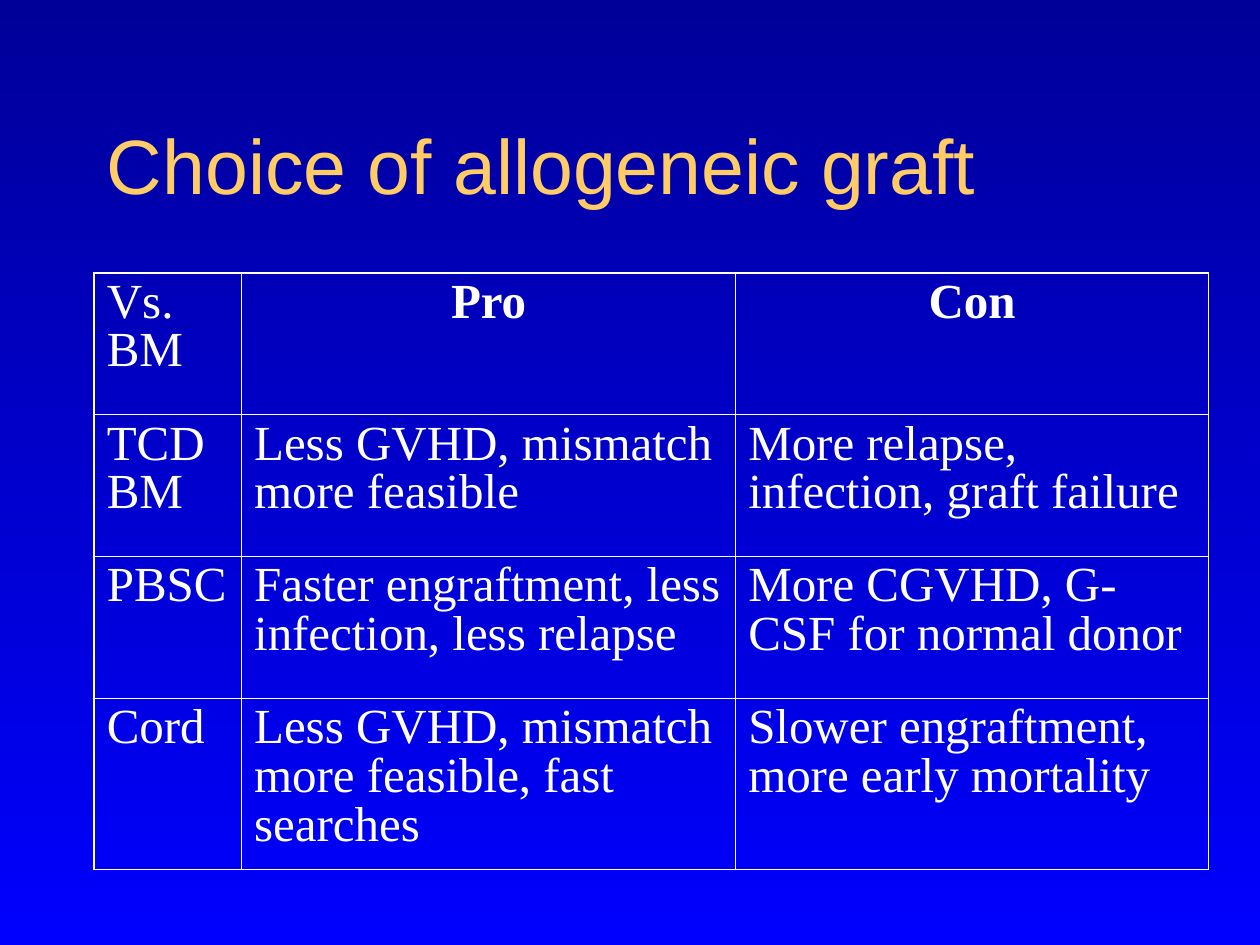
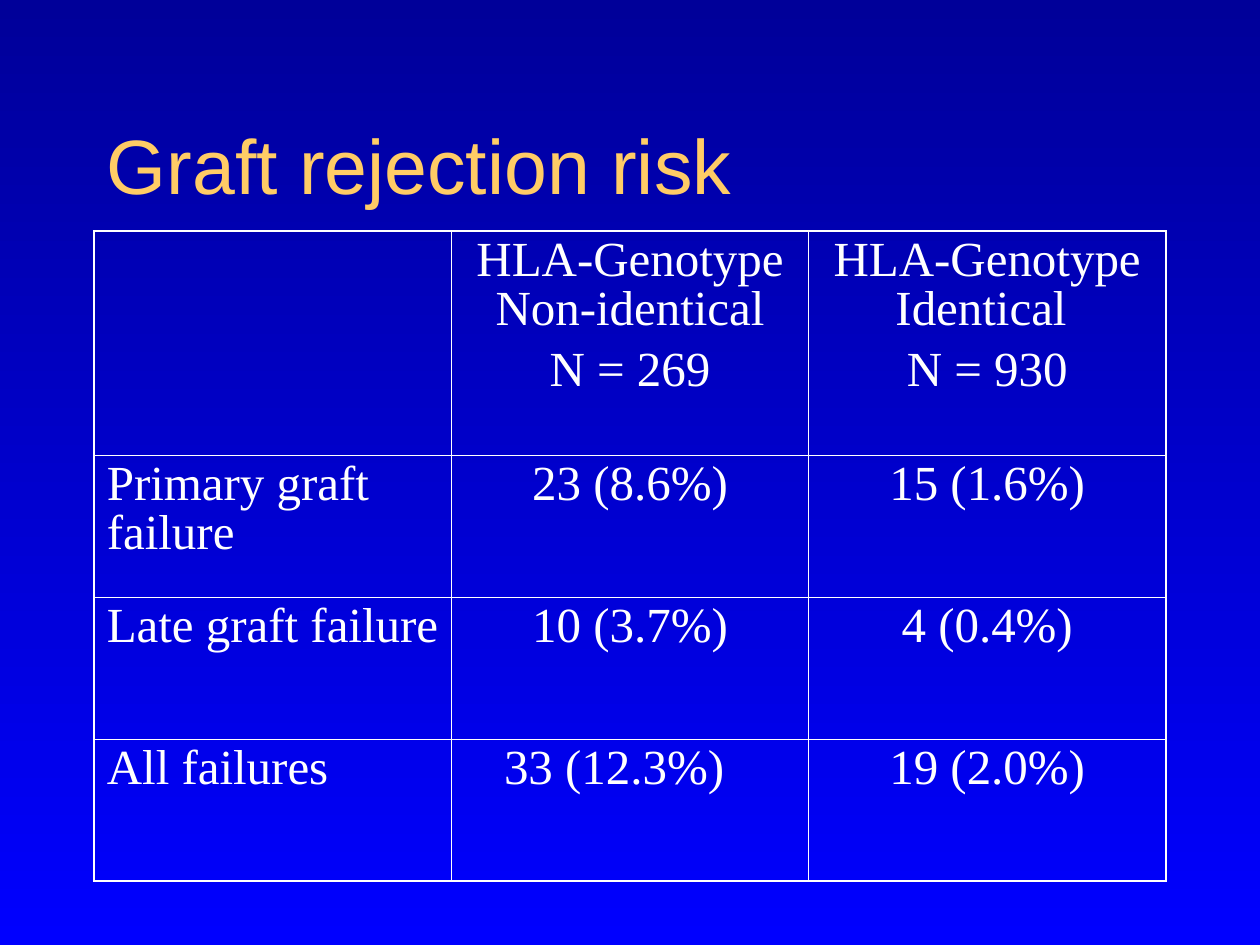
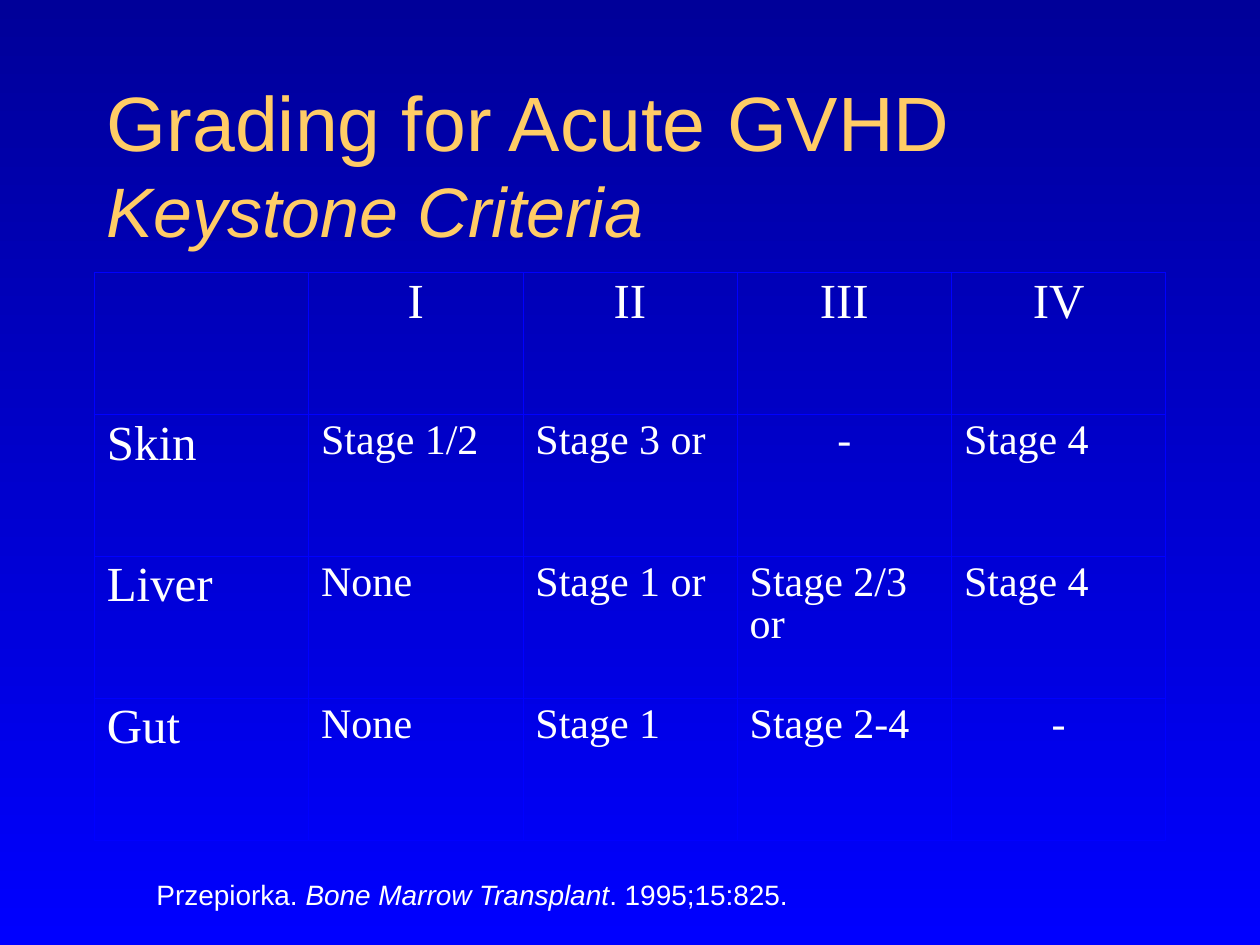
from dataclasses import dataclass
from typing import Any, NamedTuple

from lxml.etree import SubElement
from pptx import Presentation
from pptx.dml.color import RGBColor
from pptx.enum.shapes import PP_PLACEHOLDER
from pptx.enum.text import MSO_ANCHOR, PP_ALIGN as Align
from pptx.oxml.ns import qn
from pptx.util import Cm, Inches, Pt

# Shared look
NAVY = RGBColor(0x00, 0x00, 0x99)
BLUE = RGBColor(0x00, 0x00, 0xFF)
GOLD = RGBColor(0xFF, 0xCC, 0x66)
WHITE = RGBColor(0xFF, 0xFF, 0xFF)
SANS, SERIF = "Arial", "Times New Roman"
LEFT = Cm(1.9)
THIN, THICK = 0.45, 1.08
ROW = 2.86


class Span(NamedTuple):
    text: str
    size: float
    italic: bool = False


@dataclass
class TableSlide:
    title: list[Span]
    top: float
    widths: list[float]
    heights: list[float]
    rows: list[list[str]]
    border: RGBColor = WHITE
    edge: float = THICK
    body_size: float = 28
    bold_header: bool = False
    center_body: bool = False
    source: tuple[Span, ...] = ()


SLIDES = [
    TableSlide(
        title=[Span("Choice of allogeneic graft", 44)],
        top=5.5,
        widths=[2.97, 9.96, 9.53],
        heights=[ROW] * 3 + [3.45],
        bold_header=True,
        rows=[
            ["Vs. BM", "Pro", "Con"],
            ["TCD BM", "Less GVHD, mismatch more feasible",
             "More relapse, infection, graft failure"],
            ["PBSC", "Faster engraftment, less infection, less relapse",
             "More CGVHD, G-CSF for normal donor"],
            ["Cord", "Less GVHD, mismatch more feasible, fast searches",
             "Slower engraftment, more early mortality"],
        ],
    ),
    TableSlide(
        title=[Span("Graft rejection risk", 44)],
        top=4.66,
        widths=[7.2] * 3,
        heights=[4.52] + [ROW] * 3,
        center_body=True,
        rows=[
            ["", "HLA-Genotype Non-identical\nN = 269", "HLA-Genotype Identical \nN = 930"],
            ["Primary graft failure", "23 (8.6%)", "15 (1.6%)"],
            ["Late graft failure", "10 (3.7%)", "4 (0.4%)"],
            ["All failures\t", "33 (12.3%)\t", "19 (2.0%)"],
        ],
    ),
    TableSlide(
        title=[Span("Grading for Acute GVHD ", 44), Span("Keystone Criteria", 40, True)],
        top=5.5,
        widths=[4.32] * 5,
        heights=[ROW] * 4,
        border=BLUE,
        edge=THIN,
        body_size=24,
        rows=[
            ["", "I", "II", "III", "IV"],
            ["Skin", "Stage 1/2", "Stage 3 or", "-", "Stage 4"],
            ["Liver", "None", "Stage 1 or", "Stage 2/3 or", "Stage 4"],
            ["Gut", "None", "Stage 1", "Stage 2-4", "-"],
        ],
        source=(Span(" Przepiorka. ", 16), Span("Bone Marrow Transplant", 16, True),
                Span(". 1995;15:825.", 16)),
    ),
]


def add_text(p: Any, text: str, *, size: float, font: str, color: RGBColor = WHITE,
             bold: bool = False, italic: bool = False) -> None:
    r = p.add_run()
    r.text = text
    f = r.font
    f.name, f.size, f.bold, f.italic = font, Pt(size), bold, italic
    f.color.rgb = color


def add_spans(p: Any, spans: Any, color: RGBColor) -> None:
    p.alignment = Align.LEFT
    for span in spans:
        add_text(p, span.text, size=span.size, italic=span.italic, font=SANS, color=color)


def add_tab_stops(p: Any) -> None:
    tabs = SubElement(p._p.get_or_add_pPr(), qn("a:tabLst"))
    for inch in range(1, 8):
        SubElement(tabs, qn("a:tab"), pos=str(Inches(inch)), algn="l")


def set_borders(cell: Any, color: RGBColor, weights: dict[str, float]) -> None:
    tc_pr = cell._tc.get_or_add_tcPr()
    for side, weight in weights.items():
        ln = SubElement(tc_pr, qn(f"a:ln{side}"), w=str(Pt(weight)))
        SubElement(SubElement(ln, qn("a:solidFill")), qn("a:srgbClr"), val=str(color))


def fill_cell(cell: Any, text: str, *, size: float, bold: bool, align: Any) -> None:
    cell.fill.background()
    tf = cell.text_frame
    for i, line in enumerate(text.split("\n")):
        p = tf.add_paragraph() if i else tf.paragraphs[0]
        p.alignment, p.line_spacing = align, 0.9
        if i:
            p.space_before = Pt(7)
        if "\t" in line:
            add_tab_stops(p)
        if line:
            add_text(p, line, size=size, font=SERIF, bold=bold)


def add_grid(s: Any, spec: TableSlide) -> None:
    n_rows, n_cols = len(spec.heights), len(spec.widths)
    table = s.shapes.add_table(n_rows, n_cols, LEFT, Cm(spec.top),
                               Cm(sum(spec.widths)), Cm(sum(spec.heights))).table
    table.first_row = table.horz_banding = False
    for column, width in zip(table.columns, spec.widths):
        column.width = Cm(width)
    for row, height in zip(table.rows, spec.heights):
        row.height = Cm(height)

    for i, texts in enumerate(spec.rows):
        for j, text in enumerate(texts):
            cell = table.cell(i, j)
            on_edge = {"L": j == 0, "R": j == n_cols - 1, "T": i == 0, "B": i == n_rows - 1}
            set_borders(cell, spec.border,
                        {side: spec.edge if edge else THIN for side, edge in on_edge.items()})
            header, label = i == 0, j == 0
            centered = not label and (header or spec.center_body or text == "-")
            fill_cell(cell, text,
                      size=28 if header or label else spec.body_size,
                      bold=spec.bold_header and header and not label,
                      align=Align.CENTER if centered else Align.LEFT)


def style_master(prs: Any) -> None:
    master = prs.slide_master
    # Vertical background gradient
    fill = master.background.fill
    fill.gradient()
    fill.gradient_angle = 270
    for stop, color in zip(fill.gradient_stops, (NAVY, BLUE)):
        stop.color.rgb = color
    # Title position
    for sp in master.placeholders:
        if sp.placeholder_format.type == PP_PLACEHOLDER.TITLE:
            sp.left, sp.top, sp.width, sp.height = LEFT, Cm(1.7), Cm(22.45), Cm(3.18)
            sp.text_frame.vertical_anchor = MSO_ANCHOR.MIDDLE


def add_slide(prs: Any, spec: TableSlide) -> None:
    s = prs.slides.add_slide(prs.slide_layouts[5])
    add_spans(s.shapes.title.text_frame.paragraphs[0], spec.title, GOLD)
    add_grid(s, spec)
    # Literature source
    if spec.source:
        tf = s.shapes.add_textbox(Cm(2.75), Cm(17.57), Cm(21.45), Cm(0.94)).text_frame
        tf.word_wrap = True
        add_spans(tf.paragraphs[0], spec.source, WHITE)


def main() -> None:
    prs = Presentation()
    prs.slide_width, prs.slide_height = Cm(25.4), Cm(19.05)
    style_master(prs)
    for spec in SLIDES:
        add_slide(prs, spec)
    prs.save("out.pptx")


if __name__ == "__main__":
    main()
